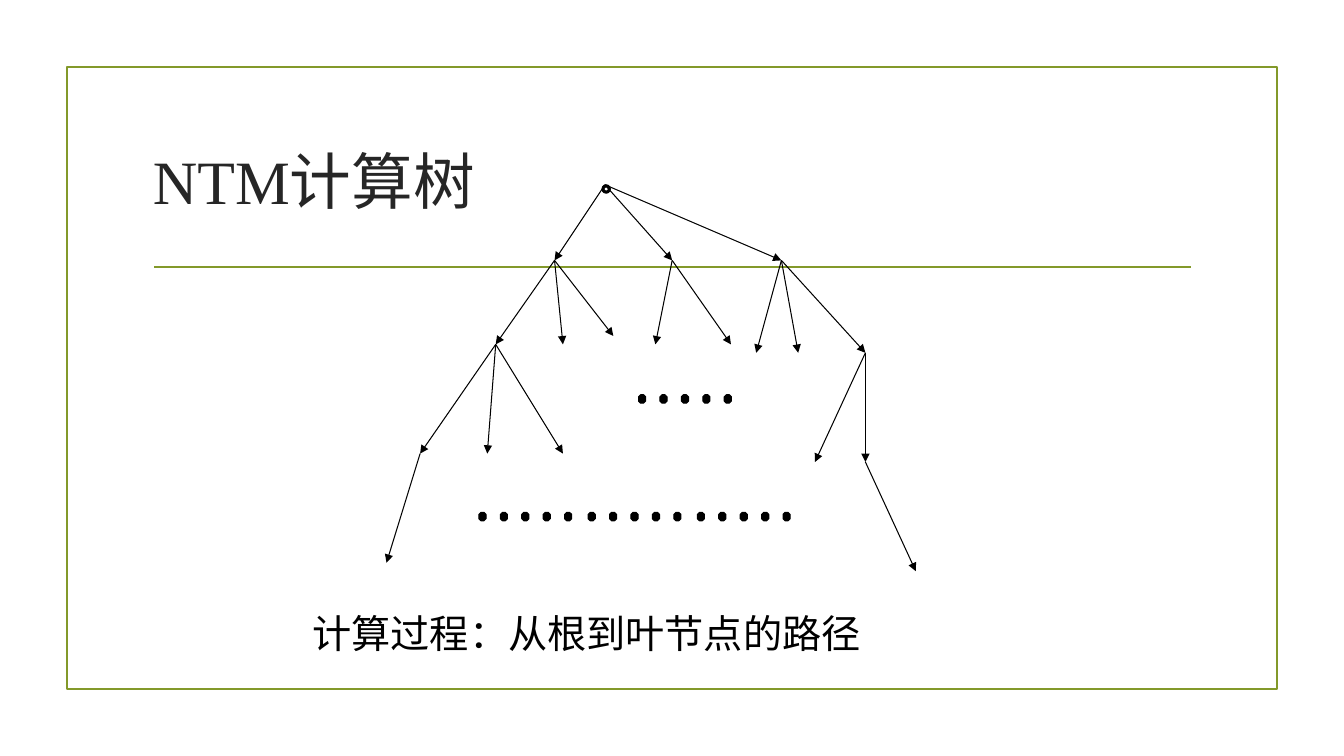
from lxml.etree import SubElement
from pptx import Presentation
from pptx.dml.color import RGBColor
from pptx.enum.shapes import MSO_CONNECTOR as Connector, MSO_SHAPE as Shape
from pptx.enum.text import MSO_ANCHOR as Anchor, PP_ALIGN as Align
from pptx.oxml.ns import qn
from pptx.util import Inches, Pt

COLORS = {"frame": "83992A", "title": "262626", "ink": "000000"}
FONT = "Times New Roman"
CELL = Inches(1) / 12
DOT_PITCH = 2.55
DOTS_PER_GROUP = 5

# Column and row of each parent node, with those of its children.
ROOT = (72, 22)
TREE = {
    ROOT: [(66, 31), (93, 31), (80, 31)],
    (66, 31): [(59, 41), (67, 41), (73, 40)],
    (80, 31): [(78, 41), (87, 41)],
    (93, 31): [(90, 42), (95, 42), (103, 42)],
    (59, 41): [(67, 54), (50, 54), (58, 54)],
    (103, 42): [(103, 55), (97, 55)],
    (50, 54): [(46, 67)],
    (103, 55): [(109, 68)],
}
DOT_GROUPS = [(76, 47), (57, 61), (70, 61), (83, 61)]


def grid(*cells):
    return [round(cell * CELL) for cell in cells]


def color(name):
    return RGBColor.from_string(COLORS[name])


def add_line(slide, start, end, ink, width, arrow=False):
    line = slide.shapes.add_connector(Connector.STRAIGHT, *grid(*start, *end))
    line.line.color.rgb = color(ink)
    line.line.width = Pt(width)
    if arrow:
        SubElement(line.line._get_or_add_ln(), qn("a:tailEnd"), type="triangle")
    SubElement(line._element.spPr, qn("a:effectLst"))


def add_outlined(slide, kind, box, ink, width, filled=True):
    shape = slide.shapes.add_shape(kind, *grid(*box))
    shape.shadow.inherit = False
    shape.line.color.rgb = color(ink)
    shape.line.width = Pt(width)
    if filled:
        shape.fill.solid()
        shape.fill.fore_color.rgb = color(ink)
    else:
        shape.fill.background()
    return shape


def write(shape, text, size, ink, anchor):
    frame = shape.text_frame
    frame.text = text
    frame.word_wrap = True
    frame.vertical_anchor = anchor
    paragraph = frame.paragraphs[0]
    paragraph.alignment = Align.LEFT
    font = paragraph.runs[0].font
    font.name, font.size, font.color.rgb = FONT, Pt(size), color(ink)


def add_title(slide, text):
    title = slide.shapes.title
    title.left, title.top, title.width, title.height = grid(17, 12.85, 126, 17.15)
    write(title, text, 44, "title", Anchor.MIDDLE)


def add_tree(slide):
    for parent, children in TREE.items():
        for child in children:
            add_line(slide, parent, child, "ink", 0.75, arrow=True)
    column, row = ROOT
    ring = add_outlined(slide, Shape.DONUT, (column - 0.35, row, 1, 1), "ink", 0.75)
    ring.adjustments[0] = 0.25


def add_dots(slide, column, row):
    for index in range(DOTS_PER_GROUP):
        box = (column + index * DOT_PITCH, row, 0.85, 1)
        add_outlined(slide, Shape.OCTAGON, box, "ink", 0.75)


def main():
    prs = Presentation()
    prs.slide_width, prs.slide_height = Inches(13.33), Inches(7.5)
    slide = prs.slides.add_slide(prs.slide_layouts[5])

    add_outlined(slide, Shape.RECTANGLE, (8, 8, 144, 74), "frame", 1.25, filled=False)
    add_line(slide, (18.35, 31.8), (141.75, 31.8), "frame", 1.25)
    add_title(slide, "NTM计算树")
    add_tree(slide)
    for column, row in DOT_GROUPS:
        add_dots(slide, column, row)
    caption = slide.shapes.add_textbox(*grid(36, 72, 88, 6.85))
    write(caption, "计算过程：从根到叶节点的路径", 28, "ink", Anchor.TOP)

    prs.save("out.pptx")


if __name__ == "__main__":
    main()
